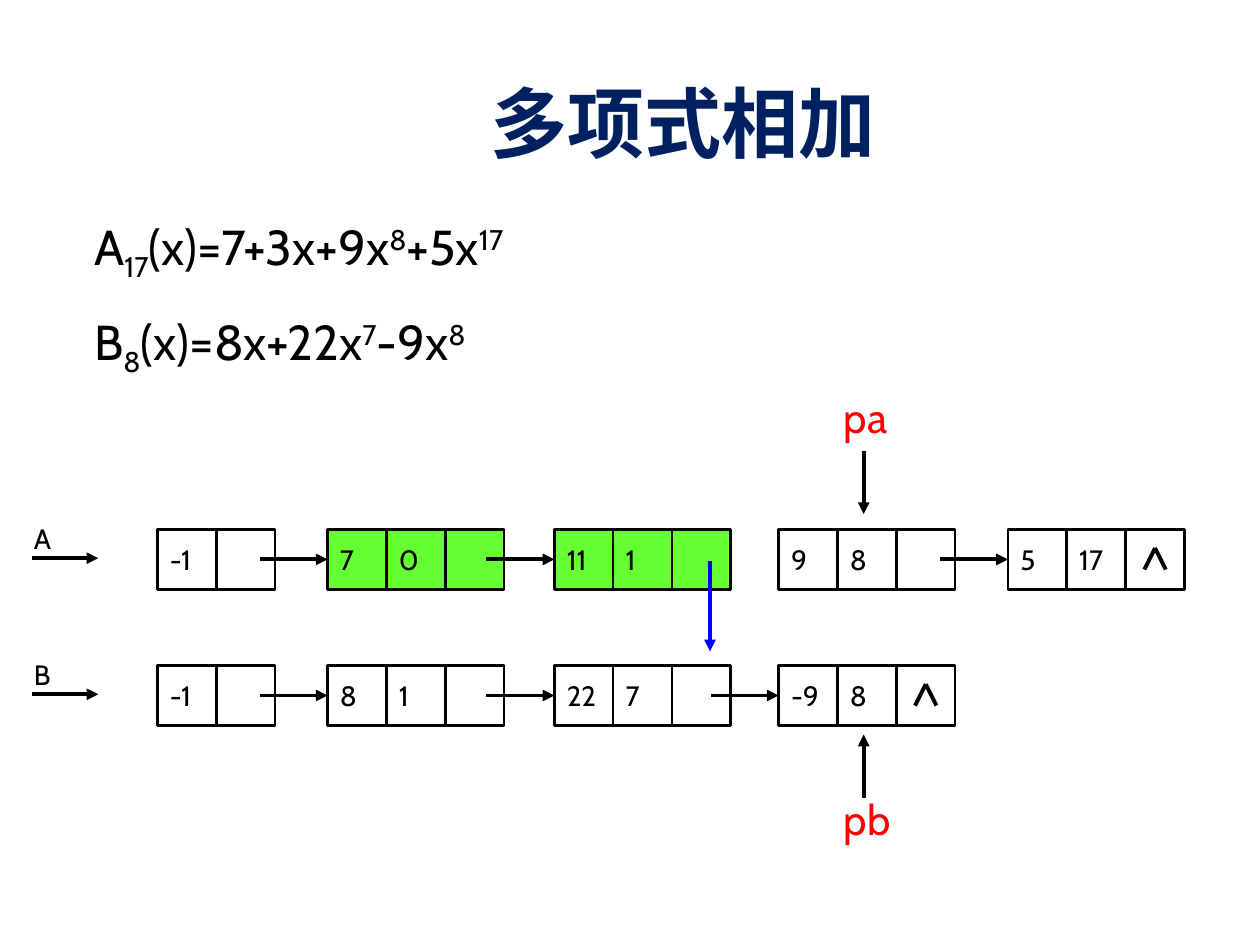
from pptx import Presentation, util as u
from pptx.dml.color import RGBColor
from pptx.enum import shapes, text
from pptx.oxml.ns import qn
from lxml import etree

# Grid: 100 columns by 75 rows
WIDE, HIGH = 10, 7.5
COLS, ROWS = 100, 75
BLACK, RED, BLUE, GREEN, NAVY = "000000", "FF0000", "0000FF", "66FF33", "002060"
FACE = "Cabin"
CELL_W, CELL_H = 4.67, 4.8
LINK = 5.4  # length of a link between nodes


def col(n):
    return u.Inches(n * WIDE / COLS)


def row(n):
    return u.Inches(n * HIGH / ROWS)


def rgb(code):
    return RGBColor.from_string(code)


def style(para, size, color=BLACK, face=FACE, bold=False):
    font = para.font
    font.size, font.name, font.bold = u.Pt(size), face, bold
    font.color.rgb = rgb(color)


def label(slide, box, words, size, color=BLACK, **look):
    """Words are (text, baseline percent) pairs or one plain string."""
    x, y, w, h = box
    frame = slide.shapes.add_textbox(col(x), row(y), col(w), row(h)).text_frame
    frame.word_wrap = True
    para = frame.paragraphs[0]
    for part, base in [(words, 0)] if isinstance(words, str) else words:
        run = para.add_run()
        run.text = part
        if base:
            run._r.get_or_add_rPr().set("baseline", str(base * 1000))
    style(para, size, color, **look)
    return para


def line(slide, start, end, color=BLACK, head=True):
    (x1, y1), (x2, y2) = start, end
    link = slide.shapes.add_connector(
        shapes.MSO_CONNECTOR.STRAIGHT, col(x1), row(y1), col(x2), row(y2))
    link.line.color.rgb = rgb(color)
    link.line.width = u.Pt(2.25)
    if head:
        etree.SubElement(link.line._get_or_add_ln(), qn("a:tailEnd"), type="triangle")
    etree.SubElement(link._element.spPr, qn("a:effectLst"))
    return link


def node(slide, x, y, values, fill=None):
    """Draw a row of cells, the last one for the pointer; return the first."""
    cells = []
    for i, value in enumerate([*values, ""]):
        cell = slide.shapes.add_shape(
            shapes.MSO_SHAPE.RECTANGLE, col(x + i * CELL_W), row(y), col(CELL_W), row(CELL_H))
        cell.shadow.inherit = False
        if fill:
            cell.fill.solid()
            cell.fill.fore_color.rgb = rgb(fill)
        else:
            cell.fill.background()
        cell.line.color.rgb = rgb(BLACK)
        cell.line.width = u.Pt(1.5)
        if value:
            frame = cell.text_frame
            frame.word_wrap = True
            frame.vertical_anchor = text.MSO_ANCHOR.MIDDLE
            para = frame.paragraphs[0]
            para.text = value
            para.alignment = text.PP_ALIGN.LEFT
            style(para, 16)
        cells.append(cell)
    return cells[0]


def chain(slide, y, name, nodes, gap=None):
    """Draw a linked list; gap is the index of a node with no link onward."""
    mid = y + CELL_H / 2
    label(slide, (1.7, y - 1.1, 3.8, 3.7), name, 16)
    line(slide, (2.5, mid - 0.1), (7.8, mid - 0.1))
    firsts = [node(slide, x, y, values, fill) for x, values, fill in nodes]
    for i, first in enumerate(firsts[1:]):
        if i != gap:
            x = nodes[i + 1][0]
            line(slide, (x - LINK, mid), (x, mid)).end_connect(first, 1)
    # Null mark in the last pointer cell
    x, values, _ = nodes[-1]
    peak = x + (len(values) + 0.5) * CELL_W
    for side in (-0.85, 0.85):
        line(slide, (peak, y + 1.5), (peak + side, y + 3.2), head=False)


def heads(slide):
    """Title and the two polynomials."""
    para = label(slide, (14.2, 5.5, 80, 12.5), "多项式相加", 44, NAVY,
                 face="Times New Roman", bold=True)
    para.alignment = text.PP_ALIGN.CENTER
    sums = (
        [("A", 0), ("17", -25), ("(x)=7+3x+9x", 0), ("8", 30), ("+5x", 0), ("17", 30)],
        [("B", 0), ("8", -25), ("(x)=8x+22x", 0), ("7", 30), ("-9x", 0), ("8", 30)],
    )
    for i, words in enumerate(sums):
        label(slide, (6.5, 16.7 + 7.5 * i, 44.3, 5.7), words, 28)


def lists(slide):
    """Both linked lists and the pointers into them."""
    at = (12.5, 26, 44, 61.8, 80)
    top, low = 42, 52.8
    chain(slide, top, "A", [
        (at[0], ["-1"], None), (at[1], ["7", "0"], GREEN), (at[2], ["11", "1"], GREEN),
        (at[3], ["9", "8"], None), (at[4], ["5", "17"], None)], gap=2)
    chain(slide, low, "B", [
        (at[0], ["-1"], None), (at[1], ["8", "1"], None),
        (at[2], ["22", "7"], None), (at[3], ["-9", "8"], None)])
    # Relinked pointer from list A down to list B
    line(slide, (56.35, top + 2.5), (56.35, low - 1.1), BLUE)
    # Current positions
    for name, y, start, end in (("pa", 30.6, 35.8, 40.8), ("pb", 62.5, 63.3, 58.3)):
        label(slide, (66, y, 6.4, 5), name, 24, RED)
        line(slide, (68.55, start), (68.55, end))


def main():
    deck = Presentation()
    deck.slide_width, deck.slide_height = u.Inches(WIDE), u.Inches(HIGH)
    slide = deck.slides.add_slide(deck.slide_layouts[6])
    slide.background.fill.solid()
    slide.background.fill.fore_color.rgb = rgb("FEFFFF")
    heads(slide)
    lists(slide)
    deck.save("out.pptx")


if __name__ == "__main__":
    main()
